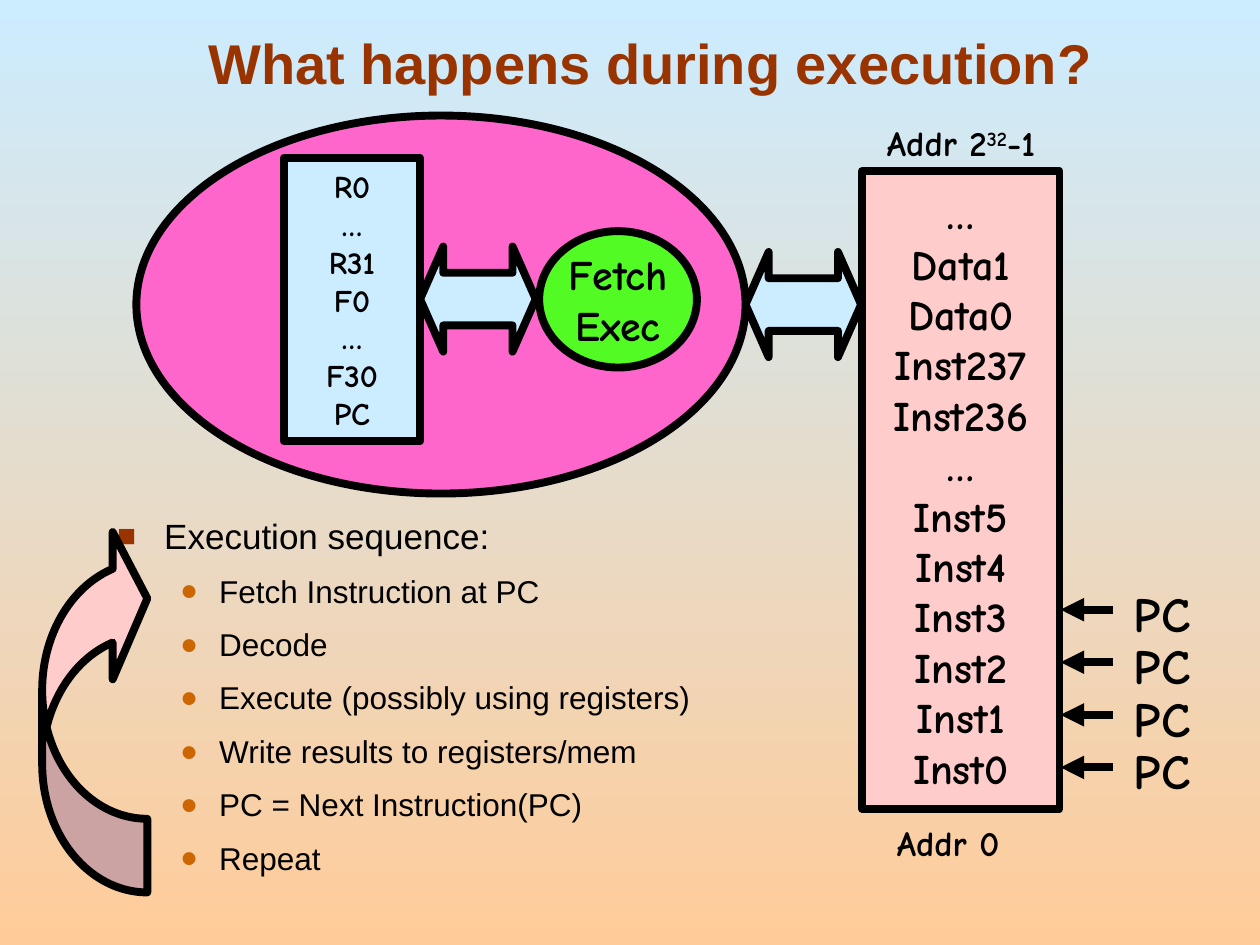
from lxml.etree import SubElement
from pptx import Presentation
from pptx.dml.color import RGBColor
from pptx.enum.shapes import MSO_CONNECTOR, MSO_SHAPE
from pptx.enum.text import MSO_ANCHOR, PP_ALIGN
from pptx.oxml.ns import qn
from pptx.util import Cm, Pt

BLACK = RGBColor(0x00, 0x00, 0x00)
SKY = RGBColor(0xCC, 0xEC, 0xFF)
PEACH = RGBColor(0xFF, 0xCC, 0x99)
PINK = RGBColor(0xFF, 0x66, 0xCC)
GREEN = RGBColor(0x53, 0xFB, 0x25)
ROSE = RGBColor(0xFF, 0xCC, 0xCC)
BROWN = RGBColor(0x99, 0x33, 0x00)
ORANGE = RGBColor(0xCC, 0x66, 0x00)

HAND = "Comic Neue"
SANS = "Arial"
LINE = Pt(4.5)

REGISTERS = ["R0", "…", "R31", "F0", "…", "F30", "PC"]
MEMORY = ["…", "Data1", "Data0", "Inst237", "Inst236", "…",
          "Inst5", "Inst4", "Inst3", "Inst2", "Inst1", "Inst0"]
STEPS = ["Fetch Instruction at PC", "Decode", "Execute (possibly using registers)",
         "Write results to registers/mem", "PC = Next Instruction(PC)", "Repeat"]


def add_run(p, text, size, font=HAND, color=BLACK, bold=True):
    r = p.add_run()
    r.text = text
    r.font.size = Pt(size)
    r.font.name = font
    r.font.bold = bold
    r.font.color.rgb = color
    return r


def add_block(shapes, kind, x, y, w, h, fill, lines=(), size=18):
    sp = shapes.add_shape(kind, Cm(x), Cm(y), Cm(w), Cm(h))
    sp.shadow.inherit = False
    sp.fill.solid()
    sp.fill.fore_color.rgb = fill
    sp.line.color.rgb = BLACK
    sp.line.width = LINE
    tf = sp.text_frame
    tf.word_wrap = False
    tf.vertical_anchor = MSO_ANCHOR.MIDDLE
    for i, line in enumerate(lines):
        p = tf.add_paragraph() if i else tf.paragraphs[0]
        p.alignment = PP_ALIGN.CENTER
        add_run(p, line, size)
    return sp


def add_text(shapes, x, y, w, h, wrap=False):
    tf = shapes.add_textbox(Cm(x), Cm(y), Cm(w), Cm(h)).text_frame
    tf.word_wrap = wrap
    return tf


def add_bus(shapes, x, y):
    sp = add_block(shapes, MSO_SHAPE.LEFT_RIGHT_ARROW, x, y, 2.33, 2.12, SKY)
    sp.adjustments[0] = 0.5
    sp.adjustments[1] = 0.22


def set_bullet(p, char, color, percent, left, hanging):
    pPr = p._p.get_or_add_pPr()
    pPr.set("marL", str(Cm(left)))
    pPr.set("indent", str(-Cm(hanging)))
    clr = SubElement(pPr, qn("a:buClr"))
    SubElement(clr, qn("a:srgbClr")).set("val", str(color))
    SubElement(pPr, qn("a:buSzPct")).set("val", str(percent * 1000))
    SubElement(pPr, qn("a:buFont")).set("typeface", SANS)
    SubElement(pPr, qn("a:buChar")).set("char", char)


def add_background(s):
    fill = s.background.fill
    fill.gradient()
    fill.gradient_angle = 270
    for stop, color in zip(fill.gradient_stops, (SKY, PEACH)):
        stop.color.rgb = color


def add_title(s, x, y, w, h):
    tf = add_text(s.shapes, x, y, w, h, wrap=True)
    tf.vertical_anchor = MSO_ANCHOR.BOTTOM
    p = tf.paragraphs[0]
    p.alignment = PP_ALIGN.CENTER
    add_run(p, "What happens during execution?", 32, SANS, BROWN)


def add_processor(s, x, y, w, h):
    shapes = s.shapes.add_group_shape().shapes
    add_block(shapes, MSO_SHAPE.OVAL, x, y, w, h, PINK)
    add_block(shapes, MSO_SHAPE.OVAL, x + 8.12, y + 2.33, 3.18, 2.75, GREEN,
              ["Fetch", "Exec"], 24)
    add_bus(shapes, x + 5.72, y + 2.64)
    add_block(shapes, MSO_SHAPE.RECTANGLE, x + 2.97, y + 0.85, 2.75, 5.72, SKY,
              REGISTERS, 18)


def add_memory(s, x, y, w, h):
    add_block(s.shapes, MSO_SHAPE.RECTANGLE, x, y, w, h, ROSE, MEMORY, 24)
    tf = add_text(s.shapes, x + 0.45, y + h + 0.12, 2.57, 1.12)
    add_run(tf.paragraphs[0], "Addr 0", 20)
    p = add_text(s.shapes, x + 0.25, y - 1.12, 3.5, 1.12).paragraphs[0]
    add_run(p, "Addr 2", 20)
    add_run(p, "32", 20).font._element.set("baseline", "30000")
    add_run(p, "-1", 20)


def add_sequence(s, x, y, w, h):
    tf = add_text(s.shapes, x, y, w, h, wrap=True)
    p = tf.paragraphs[0]
    set_bullet(p, "■", BROWN, 90, 0.95, 0.95)
    add_run(p, "Execution sequence:", 20, SANS, bold=False)
    for step in STEPS:
        p = tf.add_paragraph()
        p.level = 1
        p.space_before = Pt(8.9)
        set_bullet(p, "●", ORANGE, 95, 2.06, 0.79)
        add_run(p, step, 18, SANS, bold=False)


def add_pointers(s, x, y, count, pitch):
    for i in reversed(range(count)):
        shapes = s.shapes.add_group_shape().shapes
        top = y + i * pitch
        tf = add_text(shapes, x + 1.23, top, 1.65, 1.45)
        add_run(tf.paragraphs[0], "PC", 28)
        mid = Cm(top + 0.66)
        cx = shapes.add_connector(MSO_CONNECTOR.STRAIGHT, Cm(x + 1.05), mid, Cm(x), mid)
        cx.line.color.rgb = BLACK
        cx.line.width = LINE
        SubElement(cx.line._get_or_add_ln(), qn("a:tailEnd")).set("type", "triangle")
        SubElement(cx._element.spPr, qn("a:effectLst"))


def add_loop(s, x, y, w, h):
    sp = add_block(s.shapes, MSO_SHAPE.CURVED_LEFT_ARROW, x, y, w, h, ROSE)
    sp.rotation = 180
    for i, value in enumerate((0.7, 1.4, 0.33)):
        sp.adjustments[i] = value


def main():
    prs = Presentation()
    prs.slide_width = Cm(25.4)
    prs.slide_height = Cm(19.05)
    s = prs.slides.add_slide(prs.slide_layouts[6])
    add_background(s)
    add_processor(s, 2.75, 2.33, 12.28, 7.62)
    add_bus(s.shapes, 15.03, 5.08)
    add_memory(s, 17.38, 3.45, 3.98, 12.86)
    add_title(s, 1.9, 0.36, 22.43, 1.7)
    add_sequence(s, 2.11, 10.24, 15.88, 8.26)
    add_pointers(s, 21.38, 11.63, 4, 1.06)
    add_loop(s, 0.85, 10.58, 2.12, 7.41)
    prs.save("out.pptx")


if __name__ == "__main__":
    main()
